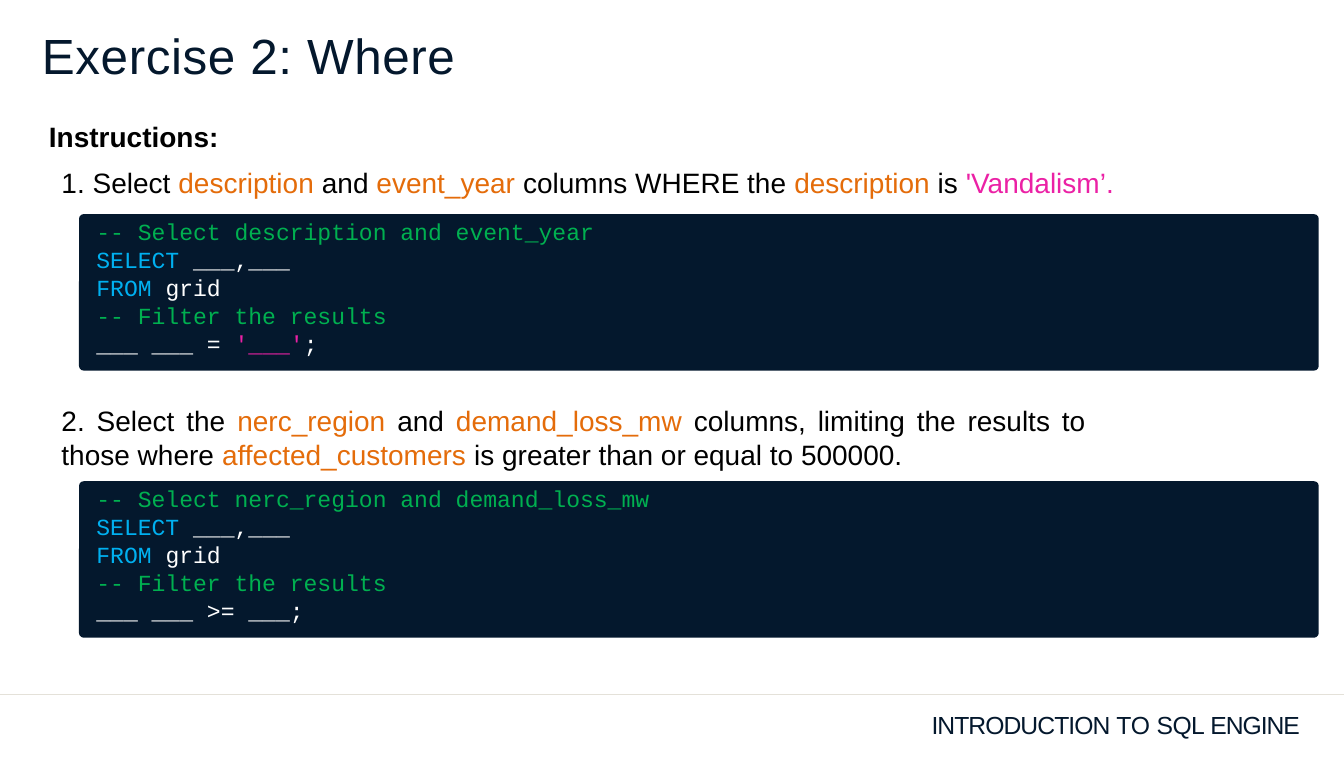
"""Build the SQL WHERE exercise slide."""
from lxml.etree import SubElement
from pptx import Presentation
from pptx.dml.color import RGBColor as RGB
from pptx.enum.shapes import MSO_CONNECTOR as CONN, MSO_SHAPE as SHAPE
from pptx.enum.text import MSO_ANCHOR as ANCHOR, MSO_AUTO_SIZE as AUTO, PP_ALIGN as ALIGN
from pptx.oxml.ns import qn
from pptx.util import Inches, Pt

COLORS = {
    "navy": "04182D", "rule": "E4E1D9", "black": "000000", "white": "FFFFFF",
    "column": "E46C0A", "string": "EB21A5", "comment": "00B050", "keyword": "00B0F0",
}
WIDTH, HEIGHT = 17.01, 9.58

TITLE = [[("Exercise 2: Where", "navy", 0.6)]]
FOOTER = [[("INTRODUCTION", "navy", -0.9), (" TO ", "navy", -0.3),
           ("SQL ", "navy", -0.5), ("ENGINE", "navy", -1)]]
HEADING = [[("Instructions:", "black")]]
QUERY_START = [
    [("SELECT ", "keyword"), ("___,___", "white")],
    [("FROM ", "keyword"), ("grid", "white")],
    [("-- Filter the results", "comment")],
]
EXERCISES = [
    {
        "task_box": (0.68, 2.04, 14.78, 0.53),
        "panel_top": 2.71,
        "task": [[("1. Select ", "black"), ("description", "column"), (" and ", "black"),
                  ("event_year ", "column"), ("columns WHERE the ", "black"),
                  ("description", "column"), (" is ", "black"), ("'Vandalism’.", "string")]],
        "code": [[("-- Select description and event_year", "comment")], *QUERY_START,
                 [("___ ___ = ", "white"), ("'___'", "string"), (";", "white")]],
    },
    {
        "task_box": (0.68, 5.06, 13.16, 0.96),
        "panel_top": 6.09,
        "task": [[("2. Select the ", "black"), ("nerc_region ", "column"), ("and ", "black"),
                  ("demand_loss_mw ", "column"),
                  ("columns, limiting the results to those where ", "black"),
                  ("affected_customers ", "column"),
                  ("is greater than or equal to 500000.", "black")]],
        "code": [[("-- Select nerc_region and demand_loss_mw", "comment")], *QUERY_START,
                 [("___ ___ >= ___;", "white")]],
    },
]


def color(name):
    return RGB.from_string(COLORS[name])


def add_text(s, lines, box, size, font="Arial", bold=False, align=ALIGN.LEFT,
             insets=(0, 0, 0, 0), before=0, sp=None):
    """Write lines of (text, colour[, spacing]) runs in a new box or in sp."""
    box = [Inches(v) for v in box]
    if sp is None:
        sp = s.shapes.add_textbox(*box)
    sp.left, sp.top, sp.width, sp.height = box
    tf = sp.text_frame
    tf.word_wrap, tf.auto_size, tf.vertical_anchor = True, AUTO.NONE, ANCHOR.TOP
    tf.margin_left, tf.margin_top, tf.margin_right, tf.margin_bottom = map(Inches, insets)
    for i, line in enumerate(lines):
        p = tf.add_paragraph() if i else tf.paragraphs[0]
        p.alignment = align
        p.space_before = Pt(before if i else 0)
        for text, name, *spacing in line:
            r = p.add_run()
            r.text = text
            r.font.name, r.font.size, r.font.bold = font, Pt(size), bold
            r.font.color.rgb = color(name)
            if spacing:
                r.font._element.set("spc", str(round(spacing[0] * 100)))


def add_panel(s, top):
    height = 1.98
    sp = s.shapes.add_shape(SHAPE.ROUNDED_RECTANGLE, Inches(1), Inches(top),
                            Inches(15.69), Inches(height))
    sp.adjustments[0] = 0.03
    sp.shadow.inherit = False
    sp.fill.solid()
    sp.fill.fore_color.rgb = color("navy")
    sp.line.fill.background()


def add_rule(s, y):
    line = s.shapes.add_connector(CONN.STRAIGHT, 0, Inches(y), Inches(WIDTH), Inches(y))
    line.line.width = Pt(1.5)
    line.line.color.rgb = color("rule")
    SubElement(line._element.spPr, qn("a:effectLst"))


def main():
    prs = Presentation()
    prs.slide_width, prs.slide_height = Inches(WIDTH), Inches(HEIGHT)
    s = prs.slides.add_slide(prs.slide_layouts[5])
    body = {"size": 25.5, "align": ALIGN.JUSTIFY, "insets": (0.1, 0.05, 0.1, 0.05)}

    add_rule(s, 8.79)
    add_text(s, TITLE, (0.52, 0.3, 9.04, 0.77), 45, insets=(0.01, 0.02, 0, 0),
             sp=s.shapes.title)
    add_text(s, FOOTER, (11.78, 8.98, 4.89, 0.38), 22.5, insets=(0.01, 0, 0, 0))
    add_text(s, HEADING, (0.52, 1.46, 14.78, 0.53), bold=True, **body)
    for ex in EXERCISES:
        top = ex["panel_top"]
        add_panel(s, top)
        add_text(s, ex["task"], ex["task_box"], **body)
        add_text(s, ex["code"], (1.22, top + 0.03, 11.84, 2.13), 21, font="Courier New",
                 insets=(0, 0.01, 0, 0), before=0.3)
    prs.save("out.pptx")


if __name__ == "__main__":
    main()
